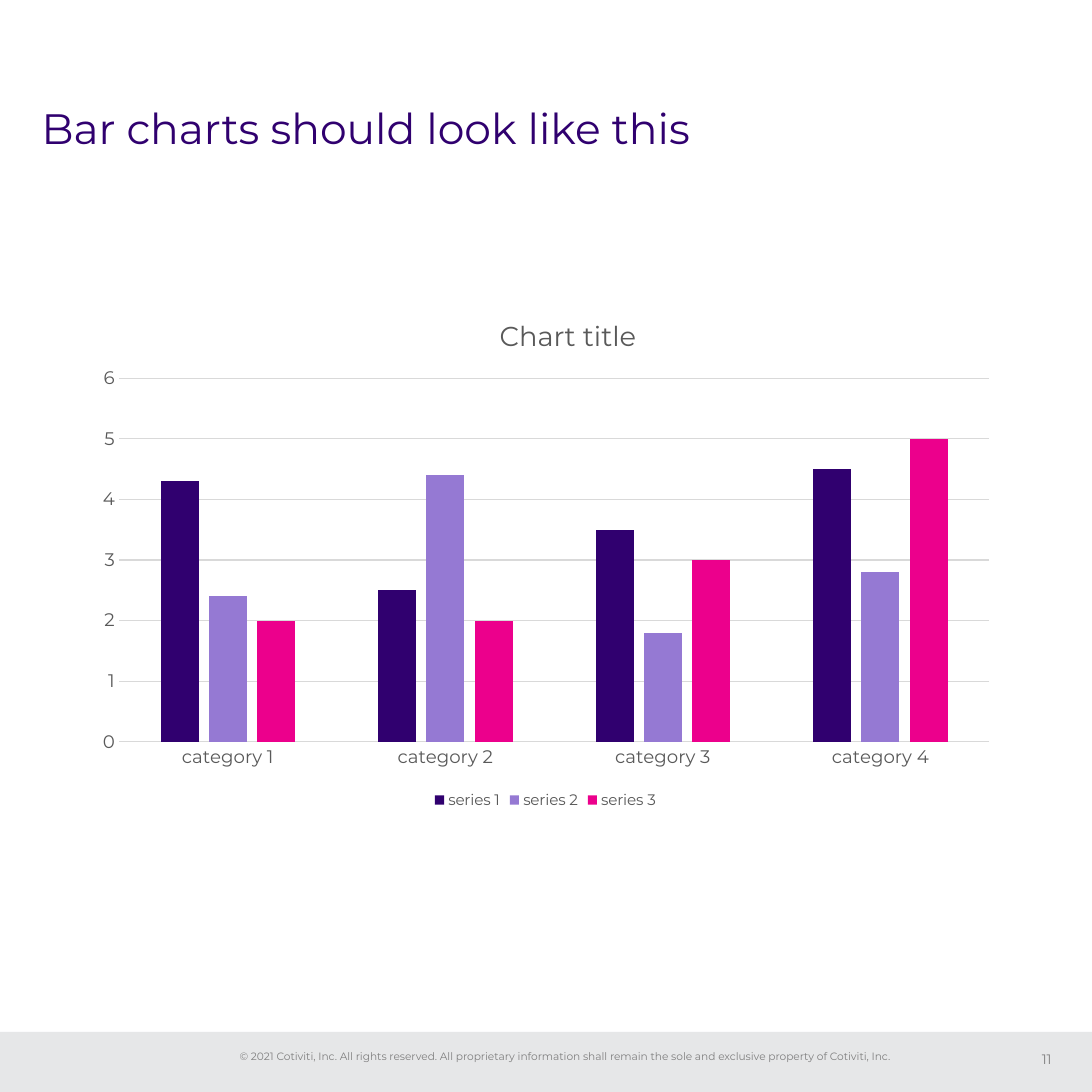
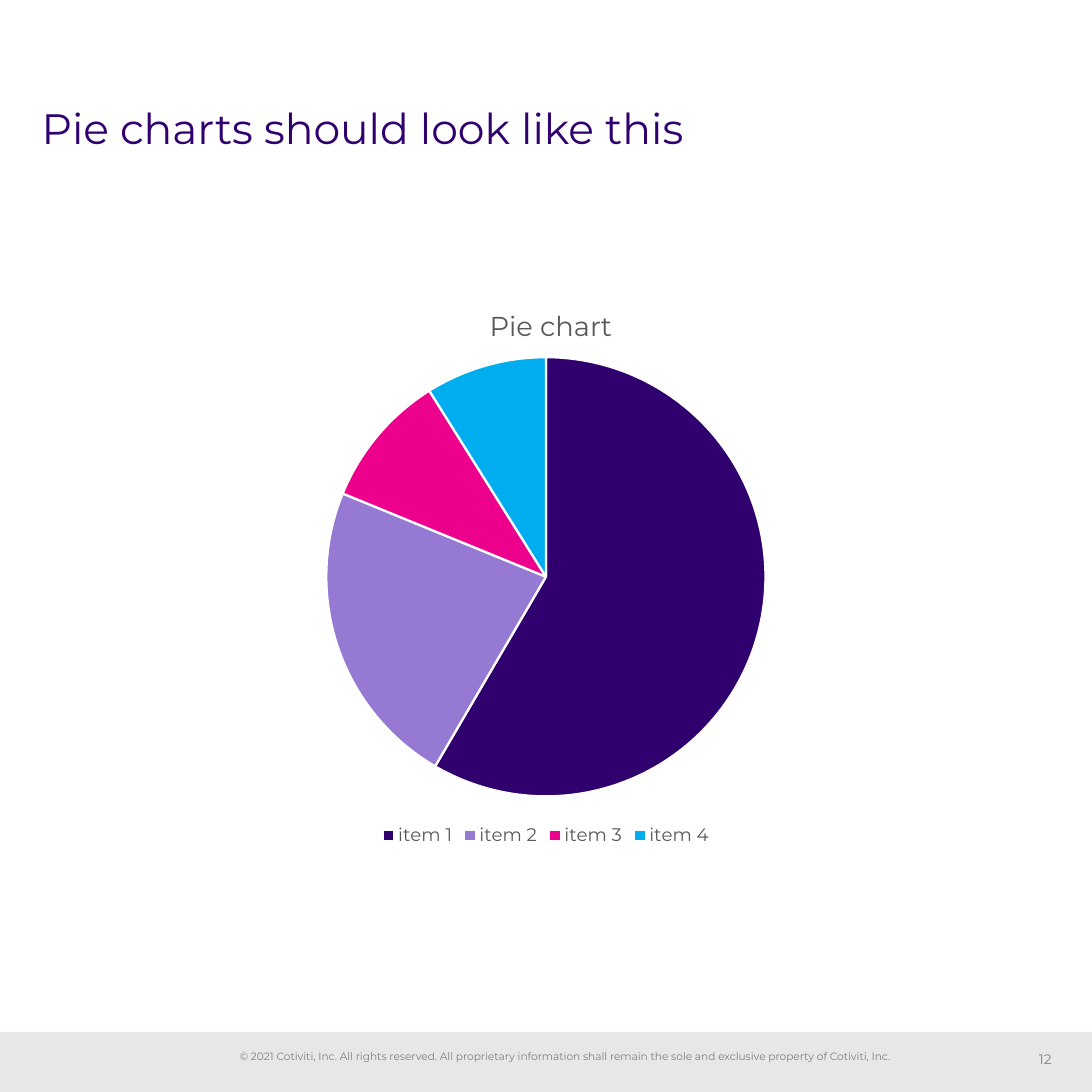
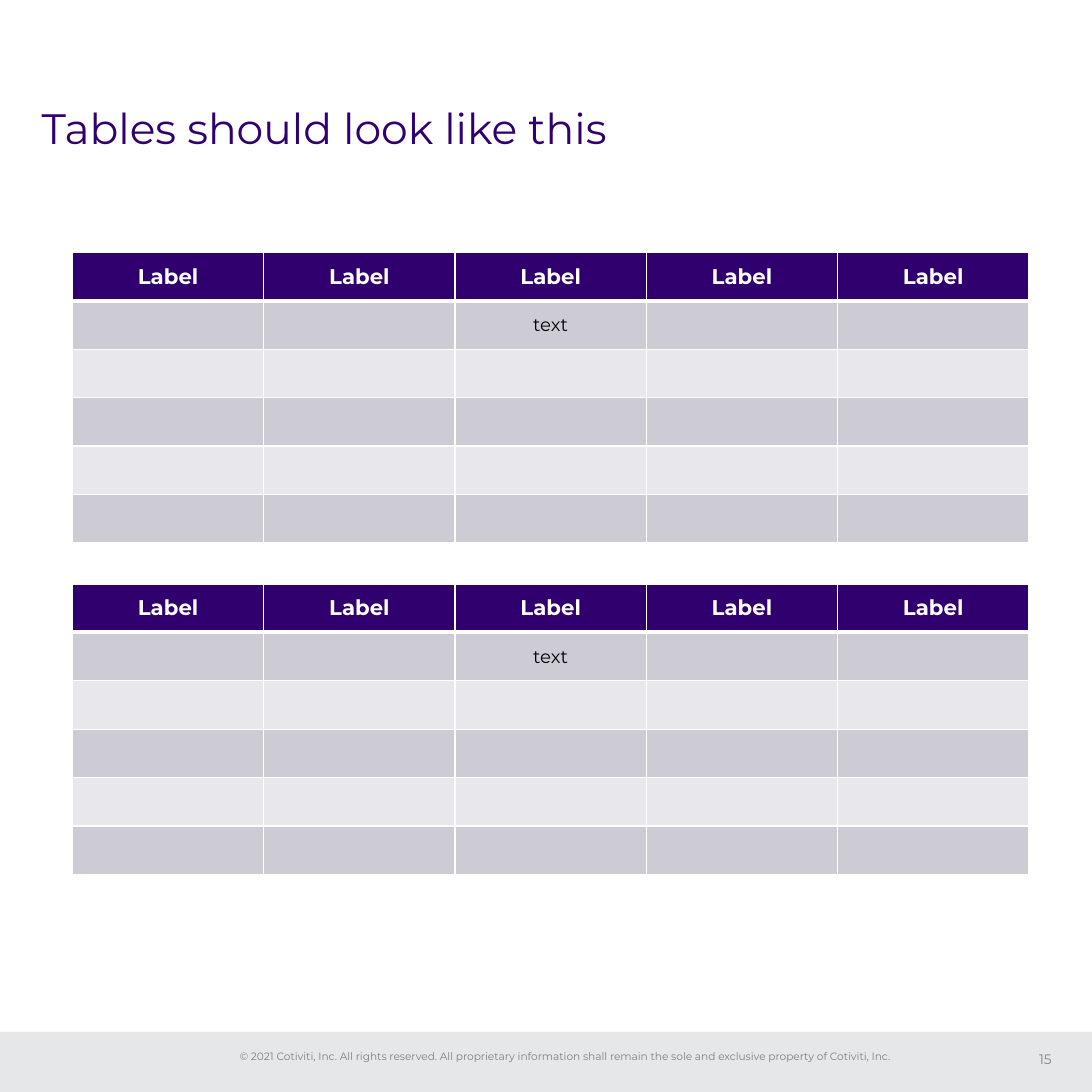
from lxml.etree import SubElement
from pptx import Presentation
from pptx.chart.data import CategoryChartData
from pptx.dml.color import RGBColor
from pptx.enum.chart import XL_CHART_TYPE as ChartType, XL_LEGEND_POSITION as LegendPosition
from pptx.enum.chart import XL_TICK_MARK as TickMark
from pptx.enum.shapes import MSO_SHAPE as Shape
from pptx.enum.text import MSO_ANCHOR as Anchor, PP_ALIGN as Align
from pptx.oxml import parse_xml
from pptx.oxml.ns import nsdecls, qn
from pptx.util import Pt

# Shared style
FONT = "Montserrat"
PURPLE = RGBColor(0x30, 0x00, 0x6F)
LILAC = RGBColor(0x95, 0x79, 0xD3)
PINK = RGBColor(0xEC, 0x00, 0x8C)
BLUE = RGBColor(0x00, 0xAE, 0xEF)
WHITE = RGBColor(0xFF, 0xFF, 0xFF)
BLACK = RGBColor(0x00, 0x00, 0x00)
BAND_GRAY = RGBColor(0xE6, 0xE7, 0xE8)
FOOTER_GRAY = RGBColor(0x80, 0x80, 0x80)
CHART_GRAY = RGBColor(0x59, 0x59, 0x59)
GRID_GRAY = RGBColor(0xD9, 0xD9, 0xD9)
ROW_FILLS = [RGBColor(0xCD, 0xCC, 0xD5), RGBColor(0xE8, 0xE7, 0xEB)]
PALETTE = [PURPLE, LILAC, PINK, BLUE]
SIDE = 720
COPYRIGHT = ("© 2021 Cotiviti, Inc. All rights reserved. All proprietary information "
             "shall remain the sole and exclusive property of Cotiviti, Inc.")

# Content: boxes are (left, top, width, height) in points, layouts are chart fractions
BAR_CHART = {
    "type": ChartType.COLUMN_CLUSTERED,
    "box": (55.4, 192.2, 608.4, 344.2),
    "title": "Chart title",
    "title_at": (0.445, 0.04),
    "plot_at": (0.038, 0.166, 0.943, 0.697),
    "legend_size": 10,
    "categories": ["category 1", "category 2", "category 3", "category 4"],
    "series": {
        "series 1": [4.3, 2.5, 3.5, 4.5],
        "series 2": [2.4, 4.4, 1.8, 2.8],
        "series 3": [2, 2, 3, 5],
    },
}
PIE_CHART = {
    "type": ChartType.PIE,
    "box": (195.8, 184.3, 328.3, 376.6),
    "title": "Pie chart",
    "title_at": (0.377, 0.04),
    "plot_at": (0.058, 0.136, 0.884, 0.769),
    "legend_size": 12,
    "categories": ["item 1", "item 2", "item 3", "item 4"],
    "series": {"Series 1": [59, 23, 10, 9]},
}
TABLE_ROWS = [["Label"] * 5, ["", "", "text", "", ""]] + [[""] * 5] * 4
TABLE_LEFT, TABLE_TOPS = 47.8, (166.5, 385.1)
COLUMN_WIDTH, ROW_HEIGHT = 126.14, 31.9


def points(*lengths):
    return [Pt(length) for length in lengths]


def set_font(font, size, color, bold=False):
    font.name, font.size, font.bold = FONT, Pt(size), bold
    font.color.rgb = color


def add_text(page, box, text, size, color, align=Align.LEFT, anchor=Anchor.MIDDLE):
    frame = page.shapes.add_textbox(*points(*box)).text_frame
    frame.word_wrap = True
    frame.vertical_anchor = anchor
    frame.margin_left = frame.margin_right = frame.margin_top = frame.margin_bottom = 0
    para = frame.paragraphs[0]
    para.text, para.alignment = text, align
    set_font(para.font, size, color)
    return frame


def add_page(deck, title, number):
    page = deck.slides.add_slide(deck.slide_layouts[6])
    # Footer band, copyright line and page number
    band = page.shapes.add_shape(Shape.RECTANGLE, *points(0, 680.4, SIDE, SIDE - 680.4))
    band.shadow.inherit = False
    band.fill.solid()
    band.fill.fore_color.rgb = BAND_GRAY
    band.line.fill.background()
    notice = add_text(page, (146.9, 691.9, 451.4, 10), COPYRIGHT, 7, FOOTER_GRAY,
                      Align.CENTER, Anchor.TOP)
    notice.word_wrap = False
    add_text(page, (664.6, 684, 28.8, 28.8), str(number), 9, FOOTER_GRAY, Align.RIGHT)
    # Title
    heading = add_text(page, (27.4, 38.2, 666, 95.8), title, 28, PURPLE)
    heading.paragraphs[0].line_spacing = 0.9
    return page


def place(element, index, fractions, target=""):
    """Give a chart part a manual layout."""
    for old in element.findall(qn("c:layout")):
        element.remove(old)
    names = ("x", "y", "w", "h")[:len(fractions)]
    modes = "".join(f'<c:{name}Mode val="edge"/>' for name in names[:2])
    values = "".join(f'<c:{name} val="{value}"/>' for name, value in zip(names, fractions))
    element.insert(index, parse_xml(
        f'<c:layout {nsdecls("c")}><c:manualLayout>{target}{modes}{values}'
        "</c:manualLayout></c:layout>"))


def add_chart(page, content):
    data = CategoryChartData()
    data.categories = content["categories"]
    for name, values in content["series"].items():
        data.add_series(name, values)
    chart = page.shapes.add_chart(content["type"], *points(*content["box"]), data).chart
    set_font(chart.font, 10, BLACK)

    # Title, plot area and legend
    chart.has_title = True
    para = chart.chart_title.text_frame.paragraphs[0]
    para.text = content["title"]
    set_font(para.font, 18, CHART_GRAY)
    place(chart.chart_title._element, 1, content["title_at"])
    place(chart._chartSpace.chart.plotArea, 0, content["plot_at"],
          '<c:layoutTarget val="inner"/>')
    chart.has_legend = True
    chart.legend.position = LegendPosition.BOTTOM
    chart.legend.include_in_layout = False
    set_font(chart.legend.font, content["legend_size"], CHART_GRAY)
    return chart


def paint(part, color):
    part.format.fill.solid()
    part.format.fill.fore_color.rgb = color


def set_line(line, color, width):
    line.color.rgb = color
    line.width = Pt(width)


def style_columns(chart):
    plot = chart.plots[0]
    plot.gap_width, plot.overlap, plot.vary_by_categories = 219, -27, False
    for series, color in zip(plot.series, PALETTE):
        paint(series, color)
    for axis in (chart.category_axis, chart.value_axis):
        axis.major_tick_mark = axis.minor_tick_mark = TickMark.NONE
        set_font(axis.tick_labels.font, 12, CHART_GRAY)
    set_line(chart.category_axis.format.line, GRID_GRAY, 0.75)
    scale = chart.value_axis
    scale.minimum_scale, scale.maximum_scale, scale.major_unit = 0, 6, 1
    scale.format.line.fill.background()
    set_line(scale.major_gridlines.format.line, GRID_GRAY, 0.75)


def style_pie(chart):
    plot = chart.plots[0]
    plot.vary_by_categories = True
    for index, color in enumerate(PALETTE):
        slice_ = plot.series[0].points[index]
        paint(slice_, color)
        set_line(slice_.format.line, WHITE, 1.5)


def set_borders(cell, widths):
    properties = cell._tc.get_or_add_tcPr()
    for side, width in zip("LRTB", widths):
        line = SubElement(properties, qn(f"a:ln{side}"), w=str(Pt(width)))
        fill = SubElement(line, qn("a:solidFill"))
        SubElement(fill, qn("a:srgbClr"), val=str(WHITE))


def add_table(page, top):
    rows, columns = len(TABLE_ROWS), len(TABLE_ROWS[0])
    box = points(TABLE_LEFT, top, columns * COLUMN_WIDTH, rows * ROW_HEIGHT)
    table = page.shapes.add_table(rows, columns, *box).table
    table.horz_banding = False
    for column in table.columns:
        column.width = Pt(COLUMN_WIDTH)
    for r, texts in enumerate(TABLE_ROWS):
        table.rows[r].height = Pt(ROW_HEIGHT)
        header = r == 0
        for c, text in enumerate(texts):
            cell = table.cell(r, c)
            set_borders(cell, (1, 1, 3 if r == 1 else 1, 3 if header else 1))
            cell.fill.solid()
            cell.fill.fore_color.rgb = PURPLE if header else ROW_FILLS[(r - 1) % 2]
            cell.vertical_anchor = Anchor.MIDDLE
            para = cell.text_frame.paragraphs[0]
            para.text, para.alignment = text, Align.CENTER
            set_font(para.font, 14 if header else 12, WHITE if header else BLACK, header)


def main():
    deck = Presentation()
    deck.slide_width = deck.slide_height = Pt(SIDE)

    page = add_page(deck, "Bar charts should look like this", 11)
    style_columns(add_chart(page, BAR_CHART))

    page = add_page(deck, "Pie charts should look like this", 12)
    style_pie(add_chart(page, PIE_CHART))

    page = add_page(deck, "Tables should look like this", 15)
    for top in TABLE_TOPS:
        add_table(page, top)

    deck.save("out.pptx")


if __name__ == "__main__":
    main()
